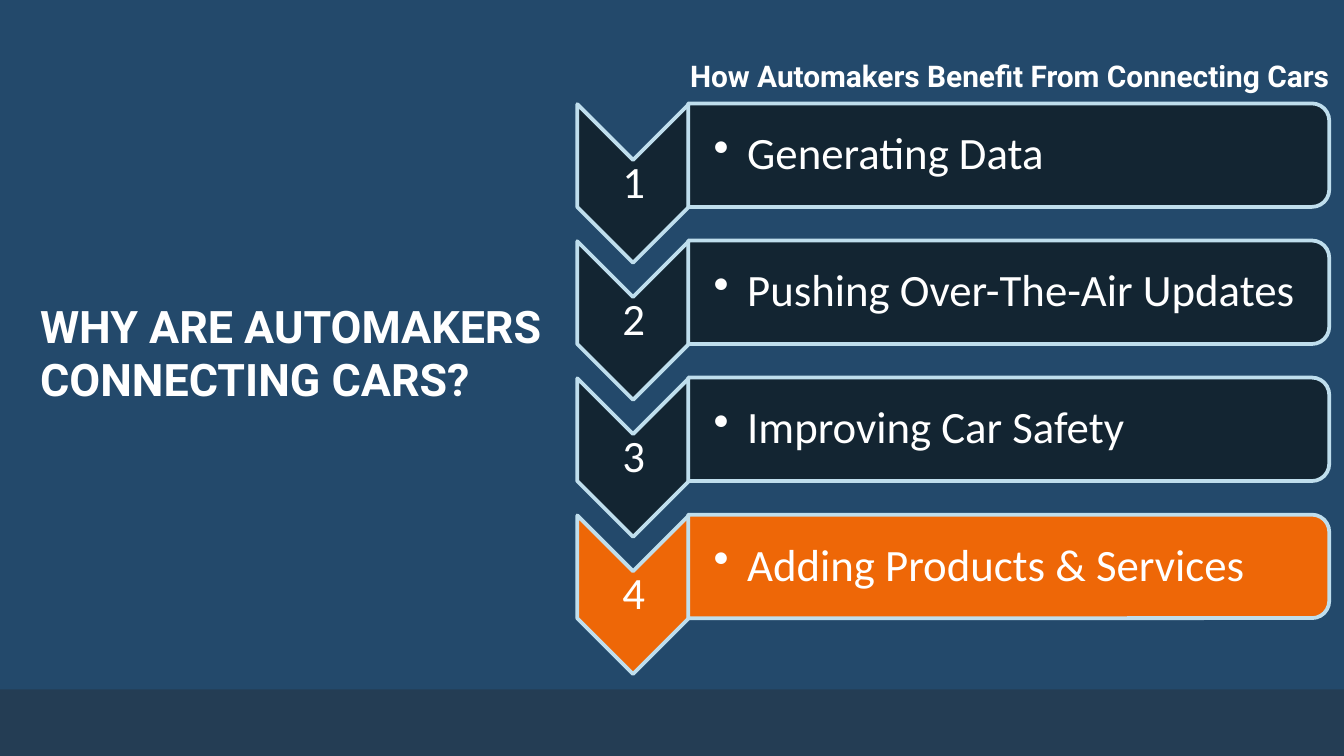
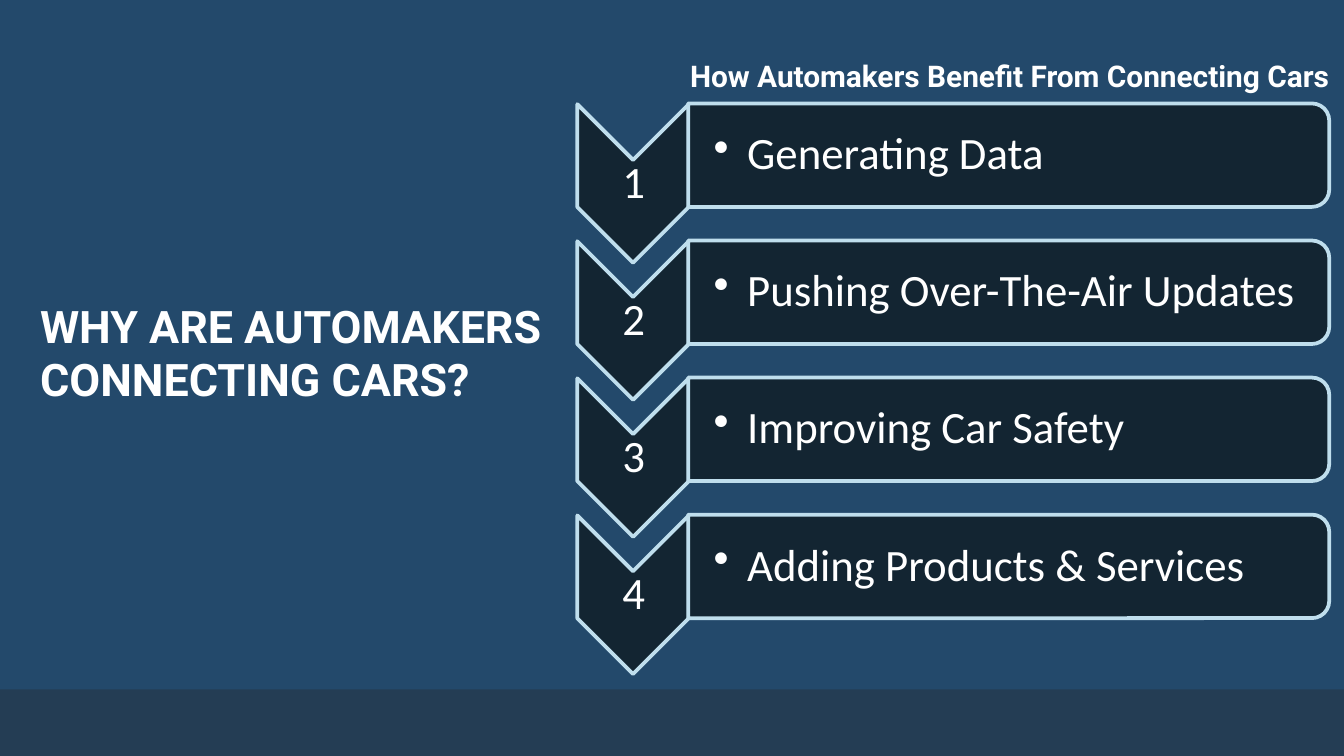
from lxml import etree
from pptx import Presentation
from pptx.dml.color import RGBColor
from pptx.enum import shapes, text
from pptx.oxml.ns import qn
from pptx.util import Inches, Pt

BACKGROUND, FOOTER = "23496B", "243D54"
NAVY, ORANGE, OUTLINE, WHITE = "132532", "EE6707", "BFDEED", "FFFFFF"
BENEFITS = [
    "Generating Data",
    "Pushing Over-The-Air Updates",
    "Improving Car Safety",
    "Adding Products & Services",
]
HIGHLIGHTED = [4, None]  # orange benefit on each slide
ROW_PITCH = 1.02


def add_text(slide, words, box, size=24, font="Calibri", bold=False, align="LEFT",
             anchor="MIDDLE", insets=(0.1, 0.05, 0.1, 0.05), spacing=1.0, bullet=False):
    """Add a text box; box is left, top, width, height in inches."""
    frame = slide.shapes.add_textbox(*map(Inches, box)).text_frame
    frame.word_wrap = True
    frame.vertical_anchor = text.MSO_ANCHOR[anchor]
    (frame.margin_left, frame.margin_top,
     frame.margin_right, frame.margin_bottom) = map(Inches, insets)
    paragraph = frame.paragraphs[0]
    if bullet:
        paragraph.level = 1
        properties = paragraph._p.get_or_add_pPr()
        properties.set("marL", str(Inches(0.25)))
        properties.set("indent", str(Inches(-0.25)))
        etree.SubElement(properties, qn("a:buChar")).set("char", "••")
    paragraph.alignment = text.PP_ALIGN[align]
    paragraph.line_spacing = spacing
    run = paragraph.add_run()
    run.text = words
    run.font.name, run.font.size, run.font.bold = font, Pt(size), bold
    run.font.color.rgb = RGBColor.from_string(WHITE)


def add_block(slide, kind, box, fill, outline=None, rotation=0):
    block = slide.shapes.add_shape(shapes.MSO_SHAPE[kind], *map(Inches, box))
    block.shadow.inherit = False
    block.rotation = rotation
    block.fill.solid()
    block.fill.fore_color.rgb = RGBColor.from_string(fill)
    if outline:
        block.line.color.rgb = RGBColor.from_string(outline)
        block.line.width = Pt(2)
    else:
        block.line.fill.background()


deck = Presentation()
deck.slide_width, deck.slide_height = Inches(10), Inches(10 * 9 / 16)

for highlighted in HIGHLIGHTED:
    slide = deck.slides.add_slide(deck.slide_layouts[6])
    slide.background.fill.solid()
    slide.background.fill.fore_color.rgb = RGBColor.from_string(BACKGROUND)
    add_block(slide, "RECTANGLE", (0, 5.13, 10, 0.5), FOOTER)
    add_text(slide, "How Automakers Benefit From Connecting Cars", (4.3, 0.38, 5.69, 0.35),
             size=16, font="Roboto", bold=True, align="RIGHT", anchor="TOP")
    add_text(slide, "WHY ARE AUTOMAKERS CONNECTING CARS?", (0.2, 0.38, 4.1, 4.48),
             font="Roboto", bold=True)

    for number, benefit in enumerate(BENEFITS, start=1):
        offset = (number - 1) * ROW_PITCH
        fill = ORANGE if number == highlighted else NAVY
        add_block(slide, "CHEVRON", (4.12, 0.95 + offset, 1.18, 0.83), fill, OUTLINE, 90)
        add_text(slide, str(number), (4.3, 1.19 + offset, 0.83, 0.36),
                 align="CENTER", insets=(0.02,) * 4, spacing=0.9)
        add_block(slide, "ROUND_2_SAME_RECTANGLE", (7.12, -1.23 + offset, 0.77, 4.77),
                  fill, OUTLINE, 90)
        add_text(slide, benefit, (5.12, 0.81 + offset, 4.73, 0.69),
                 insets=(0.19, 0.02, 0.02, 0.02), spacing=0.9, bullet=True)

deck.save("out.pptx")
